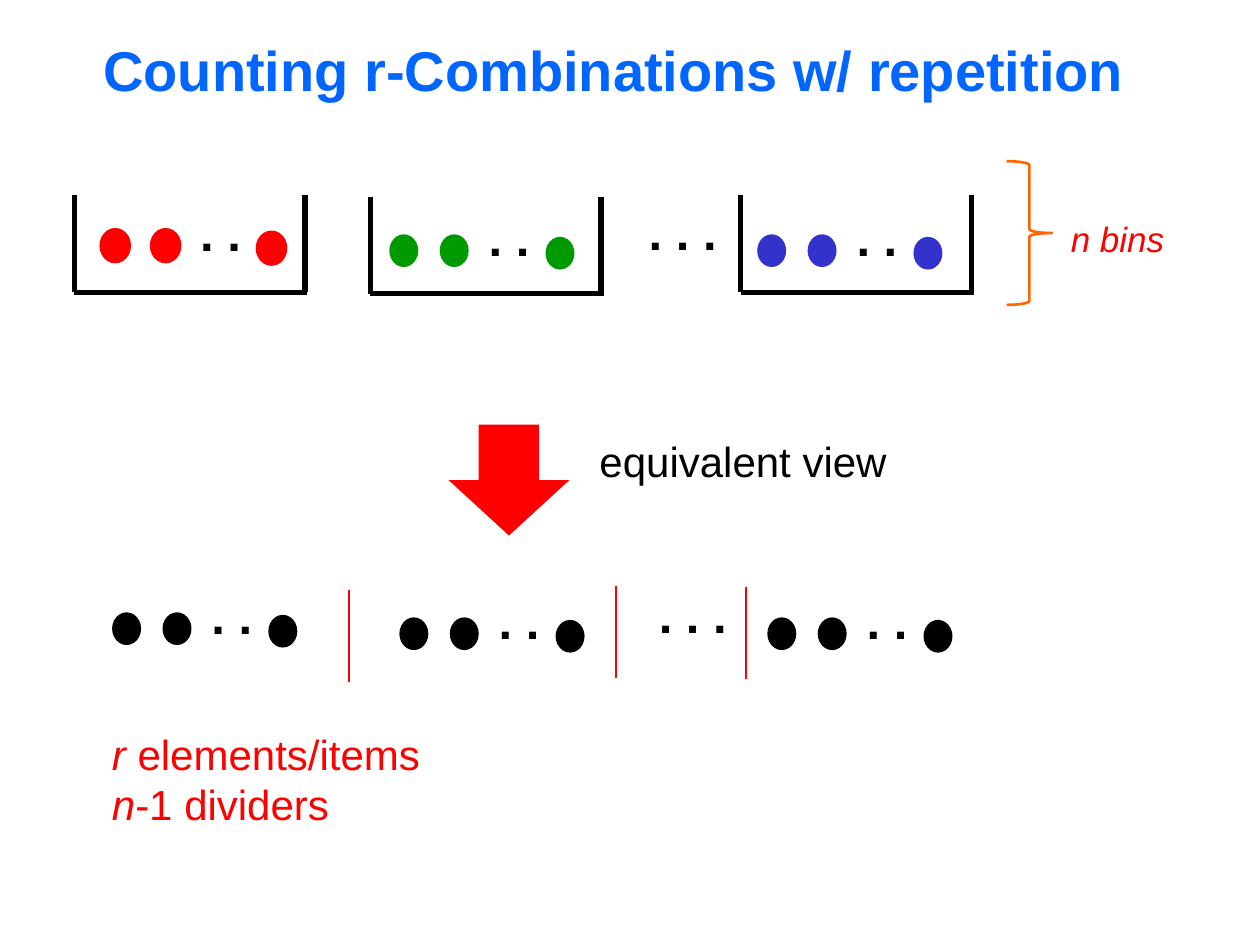
from pptx import Presentation
from pptx.dml.color import RGBColor
from pptx.enum.shapes import MSO_CONNECTOR, MSO_SHAPE as Kind
from pptx.enum.text import MSO_ANCHOR as Anchor, PP_ALIGN as Align
from pptx.oxml.ns import qn
from pptx.util import Inches, Pt
from lxml import etree

BLACK = RGBColor(0, 0, 0)
RED = RGBColor(255, 0, 0)
GREEN = RGBColor(0, 0x99, 0)
INDIGO = RGBColor(0x33, 0x33, 0xCC)
BLUE = RGBColor(0, 0x66, 0xFF)
ORANGE = RGBColor(0xFF, 0x66, 0)

deck = Presentation()
deck.slide_width, deck.slide_height = Inches(10), Inches(7.5)
slide = deck.slides.add_slide(deck.slide_layouts[5])
shapes = slide.shapes


def write(frame, lines, color, size, **style):
    """Fill a frame; each line is a list of (text, italic) runs."""
    for i, runs in enumerate(lines):
        para = frame.paragraphs[0] if i == 0 else frame.add_paragraph()
        para.alignment = Align.LEFT
        for text, slant in runs:
            run = para.add_run()
            run.text = text
            look = {"name": "Arial", "size": Pt(size), "italic": slant, **style}
            for key, value in look.items():
                setattr(run.font, key, value)
            run.font.color.rgb = color


def stroke(x1, y1, x2, y2, color, width):
    """Draw a straight line without a shadow."""
    line = shapes.add_connector(MSO_CONNECTOR.STRAIGHT, *map(Inches, (x1, y1, x2, y2)))
    line.line.color.rgb = color
    line.line.width = Pt(width)
    etree.SubElement(line._element.spPr, qn("a:effectLst"))


# Title
title = shapes.title
place = {"left": 0.72, "top": 0.21, "width": 8.5, "height": 0.68}
for key, value in place.items():
    setattr(title, key, Inches(value))
title.text_frame.vertical_anchor = Anchor.MIDDLE
write(title.text_frame, [[("Counting r-Combinations w/ repetition", False)]],
      BLUE, 32, bold=True)

# Bins: two walls and a floor
for x, y in [(0.59, 1.55), (2.94, 1.56), (5.88, 1.55)]:
    base = y + 0.77
    stroke(x, y, x, base, BLACK, 3)
    stroke(x, base, x + 1.85, base, BLACK, 3)
    stroke(x + 1.83, y, x + 1.83, base, BLACK, 3)

# Items: two balls, two dots, one ball
groups = [
    (0.8, 1.82, RED), (3.09, 1.86, GREEN), (6.01, 1.86, INDIGO),
    (0.89, 4.86, BLACK), (3.17, 4.9, BLACK), (6.09, 4.9, BLACK),
]
notes = []
for x, y, color in groups:
    for dx, dy in [(0, 0), (0.4, 0), (1.24, 0.02)]:
        ball = shapes.add_shape(Kind.OVAL, Inches(x + dx), Inches(y + dy),
                                Inches(0.23), Inches(0.26))
        ball.shadow.inherit = False
        ball.fill.solid()
        ball.fill.fore_color.rgb = color
        if color == RED:
            ball.line.color.rgb = color
            ball.line.width = Pt(1.5)
        else:
            ball.line.fill.background()
    notes.append((x + 0.69, y - 0.26, 0.53, 0.57, [[(". .", False)]],
                  BLACK, 28, True))

# Dots between groups, labels and totals
totals = [[("r", True), (" elements/items", False)],
          [("n", True), ("-1 dividers", False)]]
notes += [
    (5.05, 1.55, 0.75, 0.57, [[(". . .", False)]], BLACK, 28, True),
    (5.13, 4.59, 0.75, 0.57, [[(". . .", False)]], BLACK, 28, True),
    (8.4, 1.68, 0.95, 0.44, [[("n bins", True)]], RED, 20, False),
    (4.66, 3.41, 2.6, 0.5, [[("equivalent view", False)]], BLACK, 24, False),
    (0.79, 5.73, 3.04, 0.91, totals, RED, 24, False),
]
for *area, lines, color, size, bold in notes:
    box = shapes.add_textbox(*map(Inches, area))
    box.text_frame.word_wrap = False
    write(box.text_frame, lines, color, size, bold=bold)

# Brace beside the bins
brace = shapes.add_shape(Kind.RIGHT_BRACE, *map(Inches, (7.99, 1.28, 0.36, 1.14)))
brace.shadow.inherit = False
brace.fill.background()
brace.line.color.rgb = ORANGE
brace.line.width = Pt(1.5)

# Arrow to the equivalent view
arrow = shapes.add_shape(Kind.DOWN_ARROW, *map(Inches, (3.56, 3.37, 0.96, 0.88)))
arrow.shadow.inherit = False
arrow.fill.solid()
arrow.fill.fore_color.rgb = RED
arrow.line.fill.background()

# Dividers
for x, y in [(2.77, 4.68), (4.89, 4.65), (5.92, 4.66)]:
    stroke(x, y, x, y + 0.73, RED, 1.5)

deck.save("out.pptx")
